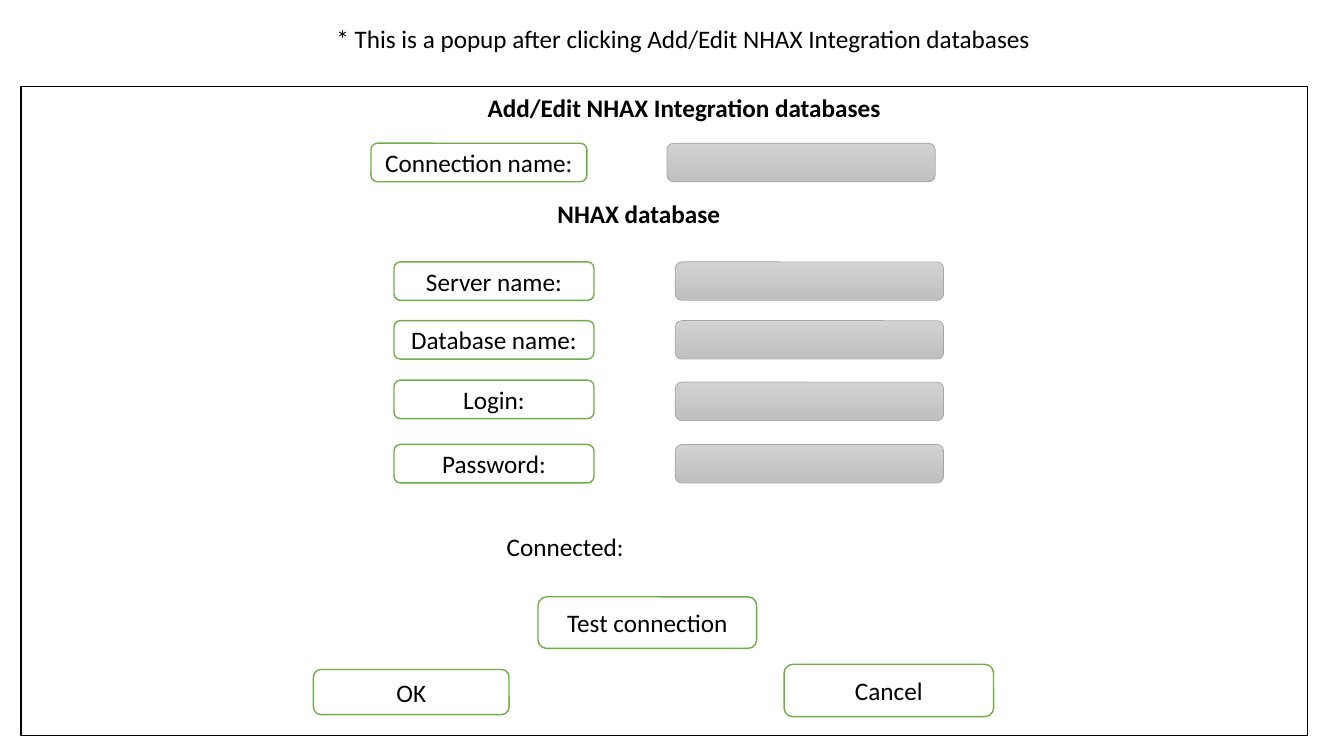
from pptx import Presentation
from pptx.dml.color import RGBColor
from pptx.enum.shapes import MSO_SHAPE as Shape
from pptx.enum.text import MSO_ANCHOR as Anchor, PP_ALIGN as Align
from pptx.util import Cm, Pt

BLACK = RGBColor(0x00, 0x00, 0x00)
WHITE = RGBColor(0xFF, 0xFF, 0xFF)
GREEN = RGBColor(0x70, 0xAD, 0x47)
GRAY = RGBColor(0xA5, 0xA5, 0xA5)
FIELD_TOP = RGBColor(0xD2, 0xD2, 0xD2)
FIELD_BOTTOM = RGBColor(0xC0, 0xC0, 0xC0)

ROW_HEIGHT = 0.97
LABEL_LEFT, LABEL_WIDTH = 9.93, 5.04
FIELD_LEFT, FIELD_WIDTH = 17.02, 6.76


def write(frame, text, bold=False, align=Align.LEFT, anchor=Anchor.TOP, wrap=True):
    frame.word_wrap = wrap
    frame.vertical_anchor = anchor
    paragraph = frame.paragraphs[0]
    paragraph.alignment = align
    run = paragraph.add_run()
    run.text = text
    run.font.name = "Calibri"
    run.font.size = Pt(18)
    run.font.bold = bold
    run.font.color.rgb = BLACK


class Popup:
    """Draws the parts of a dialog mock-up; all lengths are in centimetres."""

    def __init__(self, slide):
        self.shapes = slide.shapes

    def outline(self, kind, box, color=None, width=1):
        shape = self.shapes.add_shape(kind, *map(Cm, box))
        shape.shadow.inherit = False
        if color is None:
            shape.line.fill.background()
        else:
            shape.line.color.rgb = color
            shape.line.width = Pt(width)
        return shape

    def frame(self, *box):
        self.outline(Shape.RECTANGLE, box, BLACK, 0.75).fill.background()

    def panel(self, text, *box, color=GREEN, bold=False):
        """White rounded box with centred text: a label, button or heading."""
        panel = self.outline(Shape.ROUNDED_RECTANGLE, box, color)
        panel.fill.solid()
        panel.fill.fore_color.rgb = WHITE
        write(panel.text_frame, text, bold=bold, align=Align.CENTER, anchor=Anchor.MIDDLE)

    def field(self, left, top):
        """Empty input field, shaded from top to bottom."""
        box = left, top, FIELD_WIDTH, ROW_HEIGHT
        fill = self.outline(Shape.ROUNDED_RECTANGLE, box, GRAY, 0.5).fill
        fill.gradient()
        fill.gradient_angle = 270
        for stop, color in zip(fill.gradient_stops, (FIELD_TOP, FIELD_BOTTOM)):
            stop.color.rgb = color

    def caption(self, text, *box, **style):
        write(self.shapes.add_textbox(*map(Cm, box)).text_frame, text, **style)


def main():
    deck = Presentation()
    deck.slide_width, deck.slide_height = Cm(33.87), Cm(19.05)
    popup = Popup(deck.slides.add_slide(deck.slide_layouts[6]))

    popup.caption("* This is a popup after clicking Add/Edit NHAX Integration databases",
                  8.23, 0.46, 18.31, 1.03)
    popup.frame(0.53, 2.18, 32.41, 16.36)
    popup.caption("Add/Edit NHAX Integration databases", 12.04, 2.21, 10.49, 1.03,
                  bold=True, wrap=False)

    popup.panel("NHAX database", 10.87, 4.32, 10.46, 2.11, color=None, bold=True)
    popup.panel("Connection name:", 9.35, 3.61, 5.44, ROW_HEIGHT)
    popup.field(16.81, 3.61)

    for name, label_top, field_top in (
        ("Server name:", 6.6, 6.6),
        ("Database name:", 8.08, 8.08),
        ("Login:", 9.58, 9.63),
        ("Password:", 11.2, 11.2),
    ):
        popup.panel(name, LABEL_LEFT, label_top, LABEL_WIDTH, ROW_HEIGHT)
        popup.field(FIELD_LEFT, field_top)

    popup.caption("Connected:", 12.52, 13.26, 3.58, 1.03)
    popup.panel("Test connection", 13.56, 15.04, 5.51, 1.3)
    popup.panel("OK", 7.9, 16.87, 4.93, 1.14)
    popup.panel("Cancel", 19.76, 16.74, 5.28, 1.32)

    deck.save("out.pptx")


if __name__ == "__main__":
    main()
